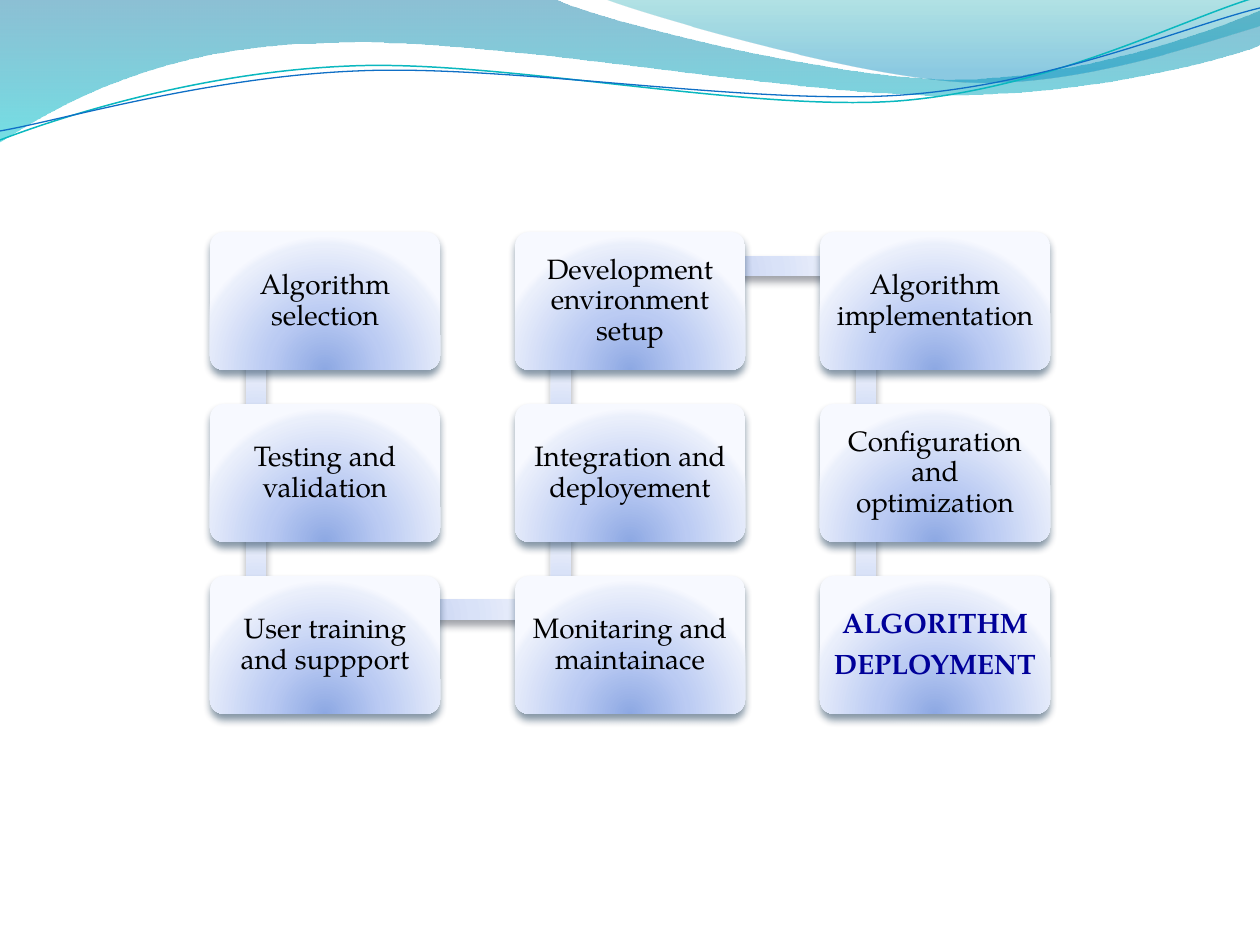
import math
import pptx
import pptx.util
import pptx.oxml
import pptx.oxml.ns
import pptx.dml.color
import pptx.enum.shapes
import pptx.enum.text
import lxml.etree

PX = 914400 / 126
FONT = "TeX Gyre Pagella"
COLORS = {"text": "000000", "result": "000099", "teal": "0AB8BF", "blue": "0F6FC6",
          "bar_shadow": "3C414F", "box_shadow": "042747"}
LINEAR = '<a:lin ang="5400000" scaled="0"/>'
RADIAL = '<a:path path="circle"><a:fillToRect l="50000" t="130000" r="50000" b="-30000"/></a:path>'
BAR_STOPS = [(0, "C5D0EE", 100), (43, "D9E2F8", 100), (93, "F3F5FC", 100), (100, "FAFBFF", 100)]
BOX_STOPS = [(0, "8DA8E3", 100), (43, "BBCBF3", 100), (93, "EAEFFB", 100), (100, "F7F9FF", 100)]


def paint(sp, stops, direction, shadow=None):
    ns = pptx.oxml.ns.nsdecls("a")
    gs = "".join(f'<a:gs pos="{pos * 1000}"><a:srgbClr val="{color}"><a:alpha val="{alpha * 1000}"/>'
                 f'</a:srgbClr></a:gs>' for pos, color, alpha in stops)
    sp.line.fill.background()
    sp.shadow.inherit = False
    spPr = sp._element.spPr
    spPr.insert(2, pptx.oxml.parse_xml(
        f'<a:gradFill {ns} rotWithShape="1"><a:gsLst>{gs}</a:gsLst>{direction}</a:gradFill>'))
    if shadow:
        spPr.find(pptx.oxml.ns.qn("a:effectLst")).append(pptx.oxml.parse_xml(
            f'<a:outerShdw {ns} blurRad="57150" dist="38100" dir="5400000" algn="ctr" rotWithShape="0">'
            f'<a:srgbClr val="{shadow}"><a:alpha val="48000"/></a:srgbClr></a:outerShdw>'))


def add_wave(start, segments, close):
    points = [(x * PX, y * PX) for seg in segments for x, y in seg]
    builder = shapes.build_freeform(start[0] * PX, start[1] * PX, scale=1.0)
    builder.add_line_segments(points, close=close)
    sp = builder.convert_to_shape()
    lines = iter(list(sp._element.iter(pptx.oxml.ns.qn("a:lnTo"))))
    for seg in segments:
        group = [next(lines) for _ in seg]
        if len(seg) == 3:
            curve = lxml.etree.Element(pptx.oxml.ns.qn("a:cubicBezTo"))
            group[0].addprevious(curve)
            for line in group:
                curve.append(line[0])
                line.getparent().remove(line)
    return sp


prs = pptx.Presentation()
prs.slide_width = round(1260 * PX)
prs.slide_height = round(945 * PX)
shapes = prs.slides.add_slide(prs.slide_layouts[6]).shapes

sp = add_wave((0, 0), [
    [(554, -1)],
    [(600, 21), (837, 79), (955, 79)],
    [(1075, 79), (1207, 33), (1260, 11)],
    [(1261, 45)],
    [(1239, 55), (1096, 96), (940, 95)],
    [(784, 95), (481, 35), (324, 43)],
    [(163, 45), (58, 105), (-1, 142)]], True)
paint(sp, [(0, "0074A1", 45), (100, "00C6CF", 55)], LINEAR)

sp = add_wave((604, -1), [
    [(641, 14), (859, 78), (969, 82)],
    [(1079, 87), (1211, 40), (1260, 26)],
    [(1260, 0)]], True)
paint(sp, [(0, "00A1A9", 30), (80, "008BBF", 45)], LINEAR)

for color, width, start, curves in [
    ("teal", 0.85, (0, 140), [
        [(60, 117), (199, 72), (349, 66)],
        [(498, 59), (747, 112), (898, 101)],
        [(1050, 89), (1182, 19), (1257, -3)]]),
    ("blue", 0.75, (0, 131), [
        [(59, 121), (207, 77), (357, 71)],
        [(508, 64), (752, 106), (903, 95)],
        [(1053, 84), (1186, 26), (1260, 8)]]),
]:
    sp = add_wave(start, curves, False)
    sp.fill.background()
    sp.shadow.inherit = False
    sp.line.color.rgb = pptx.dml.color.RGBColor.from_string(COLORS[color])
    sp.line.width = pptx.util.Pt(width)

LEFT, TOP, BOX_W, BOX_H = 210, 232, 230, 138
COL_STEP, ROW_STEP, BAR_H = 305, 172, 20
steps = ["Algorithm selection", "Testing and validation", "User training and suppport",
         "Monitaring and maintainace", "Integration and deployement",
         "Development environment setup", "Algorithm implementation",
         "Configuration and optimization", "ALGORITHM\nDEPLOYMENT"]
spots = []
for i in range(len(steps)):
    col, row = divmod(i, 3)
    if col % 2:
        row = 2 - row
    spots.append((LEFT + col * COL_STEP, TOP + row * ROW_STEP))

for i, (text, (x, y)) in enumerate(zip(steps, spots)):
    last = i == len(steps) - 1
    if not last:
        dx, dy = spots[i + 1][0] - x, spots[i + 1][1] - y
        length = math.hypot(dx, dy)
        mid_x, mid_y = x + 46 + dx / 2, y + 34 + dy / 2
        bar = shapes.add_shape(
            pptx.enum.shapes.MSO_SHAPE.RECTANGLE, round((mid_x - length / 2) * PX),
            round((mid_y - BAR_H / 2) * PX), round(length * PX), round(BAR_H * PX))
        bar.rotation = math.degrees(math.atan2(dy, dx)) % 360
        paint(bar, BAR_STOPS, RADIAL, COLORS["bar_shadow"])

    box = shapes.add_shape(pptx.enum.shapes.MSO_SHAPE.ROUNDED_RECTANGLE,
                           *(round(v * PX) for v in (x, y, BOX_W, BOX_H)))
    box.adjustments[0] = 0.1
    paint(box, BOX_STOPS, RADIAL, COLORS["box_shadow"])
    tf = box.text_frame
    tf.word_wrap = True
    tf.vertical_anchor = pptx.enum.text.MSO_ANCHOR.MIDDLE
    tf.margin_left = tf.margin_right = tf.margin_top = tf.margin_bottom = round(9 * PX)
    tf.text = text
    for p in tf.paragraphs:
        p.alignment = pptx.enum.text.PP_ALIGN.CENTER
        p.line_spacing = 0.9
        p.space_after = pptx.util.Pt(5.6)
        f = p.runs[0].font
        f.name = FONT
        f.size = pptx.util.Pt(16)
        f.bold = last
        f.color.rgb = pptx.dml.color.RGBColor.from_string(COLORS["result" if last else "text"])

prs.save("out.pptx")
